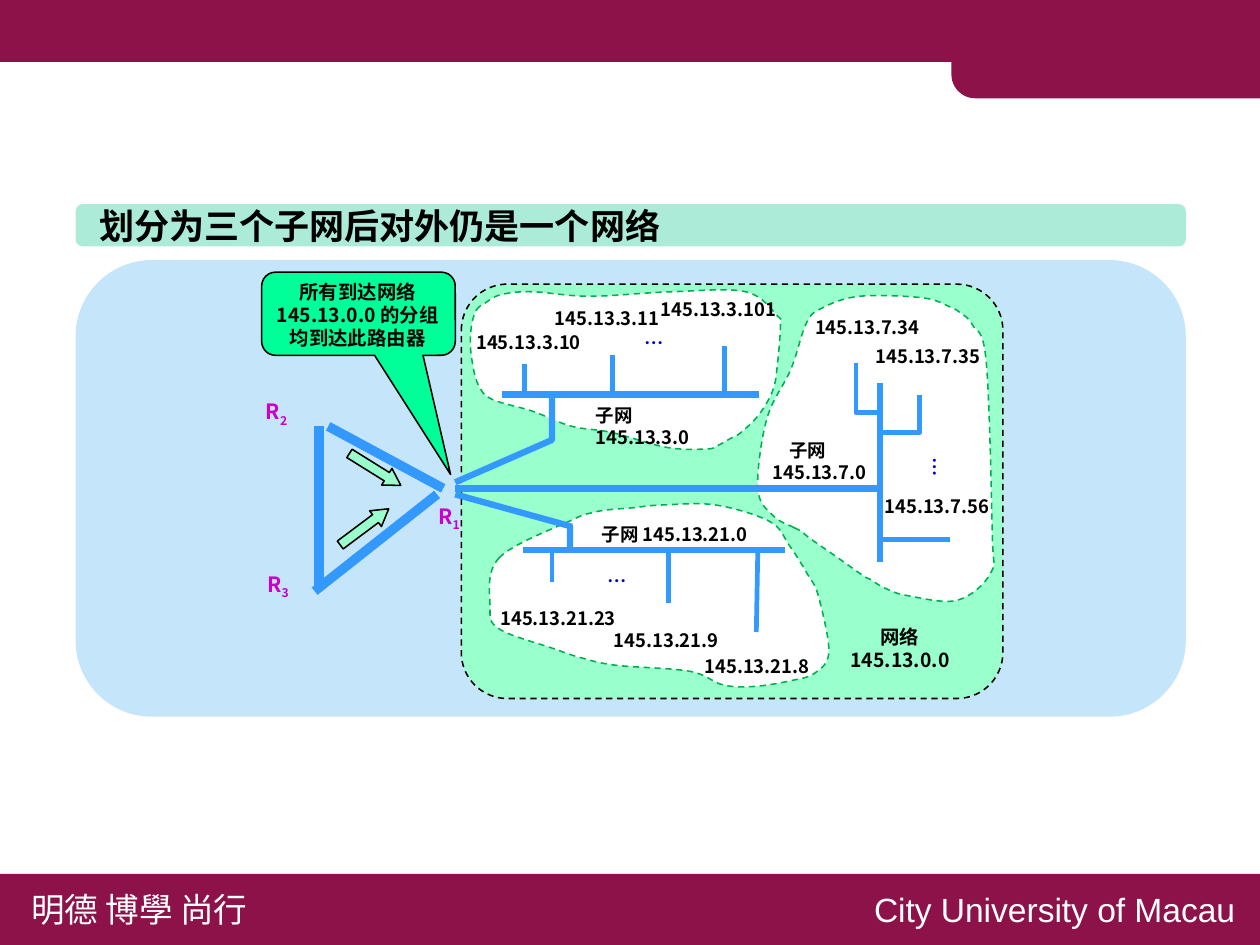
from lxml import etree
from pptx import Presentation
from pptx.dml.color import RGBColor
from pptx.enum.dml import MSO_LINE
from pptx.enum.shapes import MSO_CONNECTOR, MSO_SHAPE
from pptx.enum.text import MSO_ANCHOR, PP_ALIGN
from pptx.oxml.ns import qn
from pptx.util import Pt

PX = 9144
FINE = 10
CJK = "Noto Sans CJK SC"
RECT = MSO_SHAPE.RECTANGLE
ROUND = MSO_SHAPE.ROUNDED_RECTANGLE
TAB = MSO_SHAPE.ROUND_1_RECTANGLE
CALL = MSO_SHAPE.ROUNDED_RECTANGULAR_CALLOUT
ARROW = MSO_SHAPE.RIGHT_ARROW
LINE = MSO_CONNECTOR.STRAIGHT
DASH = MSO_LINE.DASH
MIDDLE = MSO_ANCHOR.MIDDLE
LEFT = PP_ALIGN.LEFT
CENTER = PP_ALIGN.CENTER

WINE = RGBColor(0x8D, 0x12, 0x4A)
WHITE = RGBColor(0xFF, 0xFF, 0xFF)
BLACK = RGBColor(0x00, 0x00, 0x00)
TEAL = RGBColor(0xAB, 0xEB, 0xD7)
SKY = RGBColor(0xC5, 0xE5, 0xFB)
MINT = RGBColor(0x99, 0xFF, 0xCC)
LIME = RGBColor(0x00, 0xFF, 0x99)
GREEN = RGBColor(0x00, 0xB0, 0x50)
BLUE = RGBColor(0x33, 0x99, 0xFF)
NAVY = RGBColor(0x00, 0x00, 0xCC)
PINK = RGBColor(0xCC, 0x00, 0xCC)

BLOBS = [
    [(10, 17), (15, 13), (26, 7), (47, 5), (85, 8), (139, 5), (188, 5),
     (209, 21), (211, 27), (209, 53), (206, 70), (197, 86), (185, 98),
     (178, 102), (169, 107), (162, 109), (136, 108), (99, 98), (73, 94),
     (47, 84), (20, 76), (11, 66), (7, 50), (6, 38), (7, 26)],
    [(25, 181), (73, 156), (87, 151), (99, 149), (112, 148), (133, 146),
     (168, 146), (204, 157), (217, 173), (229, 192), (236, 206), (243, 243),
     (234, 257), (219, 262), (194, 266), (173, 265), (151, 256), (102, 252),
     (79, 247), (61, 241), (25, 228), (19, 213)],
    [(220, 161), (206, 153), (196, 135), (202, 89), (218, 56), (228, 26),
     (238, 16), (263, 8), (305, 9), (323, 15), (330, 19), (338, 27),
     (347, 51), (351, 165), (350, 191), (328, 209), (295, 206),
     (280, 201), (270, 195), (266, 193), (249, 181), (229, 167), (226, 164)],
]
TRUNKS = [
    [(-4, 131), (60, 103), (60, 73)], [(-4, 139), (72, 160), (72, 176)],
    [(-4, 135), (277, 135)], [(41, 176), (214, 176)],
    [(27, 73), (197, 73)], [(277, 65), (277, 184)],
]
TAPS = [
    [(42, 53), (42, 74)], [(100, 47), (100, 74)], [(174, 41), (174, 73)],
    [(60, 197), (60, 176)], [(137, 211), (137, 176)], [(195, 230), (196, 176)],
    [(261, 52), (261, 85), (277, 85)], [(303, 73), (303, 98), (276, 98)],
    [(323, 169), (277, 169)],
]
HOSTS = [
    ("145.13.3.10", 0, 26), ("145.13.3.11", 52, 10), ("145.13.3.101", 122, 4),
    ("145.13.7.34", 224, 16), ("145.13.7.35", 264, 35), ("145.13.7.56", 270, 134),
    ("145.13.21.23", 16, 208), ("145.13.21.9", 91, 223), ("145.13.21.8", 151, 240),
]
DOTS = [(87, 183, 0), (111, 26, 0), (297, 108, 90)]


def inside(box, x, y, w, h):
    return box[0] + x, box[1] + y, w, h


def paint(item, fill, line=None, dash=None):
    item.shadow.inherit = False
    if fill is None:
        item.fill.background()
    else:
        item.fill.solid()
        item.fill.fore_color.rgb = fill
    if line is None:
        item.line.fill.background()
    else:
        item.line.color.rgb = line
        item.line.width = Pt(0.75)
        item.line.dash_style = dash


def shape(slide, kind, box, fill, line=None, dash=None, adj=(), turn=0):
    item = slide.shapes.add_shape(kind, *[v * PX for v in box])
    for i, v in enumerate(adj):
        item.adjustments[i] = v
    item.rotation = turn
    paint(item, fill, line, dash)


def style(run, size, color, bold, face):
    font = run.font
    font.size, font.bold, font.name = Pt(size), bold, face
    font.color.rgb = color
    east = etree.SubElement(run._r.get_or_add_rPr(), qn("a:ea"))
    east.set("typeface", face)


def label(slide, box, text, size, color, turn=0, align=LEFT, bold=True,
          face=CJK, wrap=False):
    item = slide.shapes.add_textbox(*[v * PX for v in box])
    item.rotation = turn
    frame = item.text_frame
    frame.text = text
    frame.word_wrap = wrap
    frame.vertical_anchor = MIDDLE
    for para in frame.paragraphs:
        para.alignment = align
        para.line_spacing = Pt(round(size * 1.2, 1))
        for run in para.runs:
            style(run, size, color, bold, face)
    return frame


def trace(slide, box, points):
    dots = [(x * FINE, y * FINE) for x, y in points]
    pen = slide.shapes.build_freeform(*dots[0], scale=PX / FINE)
    pen.add_line_segments(dots[1:], close=points[0] == points[-1])
    return pen.convert_to_shape(box[0] * PX, box[1] * PX)


def blob(slide, box, knots):
    item = trace(slide, box, knots + knots[:1])
    spots = [(int(p.get("x")), int(p.get("y")))
             for p in item._element.iter(qn("a:pt"))]
    n = len(knots)
    for i, seg in enumerate(list(item._element.iter(qn("a:lnTo")))[:n]):
        a, b, c, d = [spots[(i + k) % n] for k in (-1, 0, 1, 2)]
        grips = ([b[j] + (c[j] - a[j]) / 6 for j in (0, 1)],
                 [c[j] - (d[j] - b[j]) / 6 for j in (0, 1)])
        curve = etree.Element(qn("a:cubicBezTo"))
        for x, y in (*grips, c):
            spot = etree.SubElement(curve, qn("a:pt"))
            spot.set("x", str(round(x)))
            spot.set("y", str(round(y)))
        seg.getparent().replace(seg, curve)
    paint(item, WHITE, GREEN, DASH)


def wire(slide, box, points, width):
    if len(points) == 2:
        ends = [(box[i] + p[i]) * PX for p in points for i in (0, 1)]
        item = slide.shapes.add_connector(LINE, *ends)
        etree.SubElement(item._element.spPr, qn("a:effectLst"))
    else:
        item = trace(slide, box, points)
        paint(item, None, BLUE)
    item.line.color.rgb = BLUE
    item.line.width = Pt(width)


def header(slide, box):
    x, y, w, h = box
    shape(slide, RECT, (x, y, w, 41), WINE)
    shape(slide, TAB, (x + 629, y + 2, w - 629, h - 2), WINE, adj=[0.25], turn=180)


def footer(slide, box):
    shape(slide, RECT, box, WINE)
    label(slide, inside(box, 11, 5, 168, 37), "明德 博學 尚行", 16, WHITE, bold=False)
    label(slide, inside(box, 568, 5, 262, 37), "City University of Macau",
          16, WHITE, bold=False, face="Arial")


def title(slide, box):
    shape(slide, ROUND, box, TEAL, adj=[0.167])
    label(slide, inside(box, 6, -5, 393, 38), "划分为三个子网后对外仍是一个网络", 16.7, BLACK)


def network(slide, box):
    shape(slide, ROUND, box, MINT, BLACK, DASH, [0.111])
    for knots in BLOBS:
        blob(slide, box, knots)
    for width, group in ((3, TRUNKS), (2.25, TAPS)):
        for points in group:
            wire(slide, box, points, width)
    for text, x, y in HOSTS:
        label(slide, inside(box, x, y, 99, 25), text, 8.8, BLACK)
    for x, y, turn in DOTS:
        label(slide, inside(box, x, y, 33, 26), "…", 9.2, NAVY, turn)
    label(slide, inside(box, 83, 153, 125, 25), "子网 145.13.21.0", 8.8, BLACK)
    label(slide, inside(box, 79, 74, 105, 40), "子网 145.13.3.0", 8.8, BLACK, wrap=True)
    east = label(slide, inside(box, 196, 97, 83, 40), "子网\n145.13.7.0", 8.8, BLACK)
    east.paragraphs[0]._p.get_or_add_pPr().set("marL", str(11 * PX))
    label(slide, inside(box, 247, 220, 86, 41), "网络\n145.13.0.0", 9.2, BLACK,
          align=CENTER)


def routers(slide, box):
    for points in ([(51, 23), (127, 64)], [(45, 23), (45, 129)], [(42, 132), (123, 68)]):
        wire(slide, box, points, 4.5)
    for num, x, y in (("1", 114, 71), ("2", 0, 2), ("3", 1, 116)):
        frame = label(slide, inside(box, x, y, 36, 27), "R", 10, PINK)
        run = frame.paragraphs[0].add_run()
        run.text = num
        style(run, 10, PINK, True, CJK)
        run._r.get_or_add_rPr().set("baseline", "-25000")
    for x, y, turn in ((62, 45, 31.9), (55, 83, 323.2)):
        shape(slide, ARROW, inside(box, x, y, 40, 13), MINT, BLACK,
              adj=[0.5, 0.838], turn=turn)


def callout(slide, box):
    shape(slide, CALL, box, LIME, BLACK, adj=[0.476, 1.933, 0.167])
    label(slide, inside(box, 0, 0, 127, 56), "所有到达网络145.13.0.0 的分组均到达此路由器",
          9.2, BLACK, align=CENTER, wrap=True)


def main():
    deck = Presentation()
    deck.slide_width, deck.slide_height = 833 * PX, 625 * PX
    slide = deck.slides.add_slide(deck.slide_layouts[6])
    header(slide, (0, 0, 833, 65))
    footer(slide, (0, 578, 833, 47))
    title(slide, (50, 135, 734, 28))
    shape(slide, ROUND, (50, 172, 734, 302), SKY, adj=[0.167])
    network(slide, (305, 188, 358, 274))
    routers(slide, (166, 259, 150, 132))
    callout(slide, (173, 180, 128, 55))
    deck.save("out.pptx")


if __name__ == "__main__":
    main()
